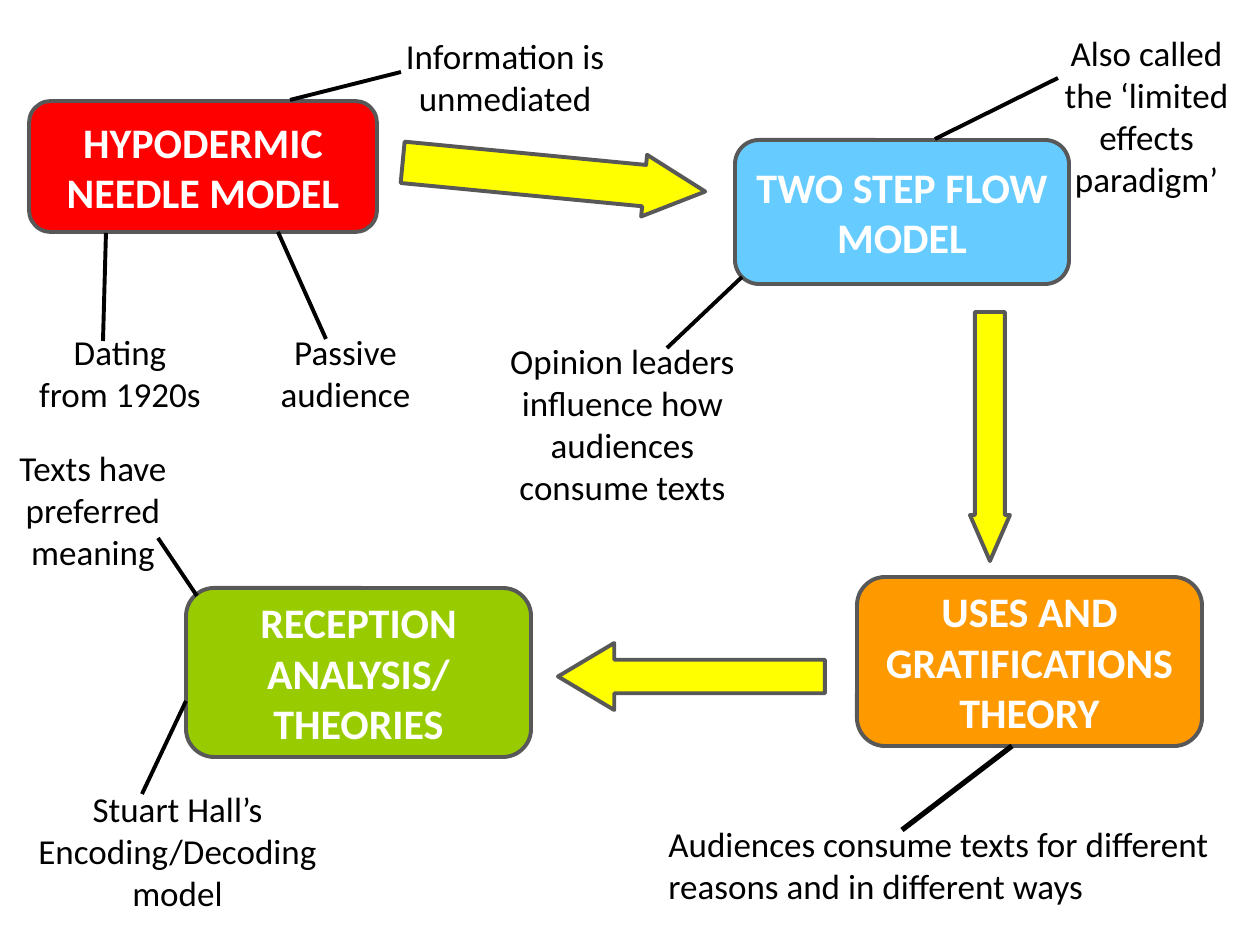
import pptx
import pptx.dml.color
import pptx.enum.shapes
import pptx.enum.text
import pptx.oxml.ns
import pptx.util
from lxml import etree

SHAPES = pptx.enum.shapes.MSO_SHAPE
ALIGN = pptx.enum.text.PP_ALIGN
COLORS = {
    "red": "FF0000",
    "blue": "66CCFF",
    "orange": "FF9900",
    "green": "99CC00",
    "yellow": "FFFF00",
    "outline": "585858",
    "white": "FFFFFF",
    "black": "000000",
}
MODELS = [
    ("HYPODERMIC NEEDLE MODEL", (29, 101, 348, 131), "red"),
    ("TWO STEP FLOW MODEL", (735, 140, 334, 144), "blue"),
    ("USES AND GRATIFICATIONS\vTHEORY", (857, 577, 345, 169), "orange"),
    ("RECEPTION ANALYSIS/ THEORIES", (186, 588, 345, 169), "green"),
]
NOTES = [
    ("Information is unmediated", (382, 28, 246, 97), ALIGN.CENTER),
    ("Passive audience", (263, 324, 165, 97), ALIGN.CENTER),
    ("Dating from 1920s", (24, 324, 192, 97), ALIGN.CENTER),
    ("Also called the ‘limited effects paradigm’", (1050, 25, 193, 180), ALIGN.CENTER),
    ("Opinion leaders influence how audiences consume texts", (496, 333, 253, 180), ALIGN.CENTER),
    ("Audiences consume texts for different reasons and in different ways",
     (656, 816, 586, 97), ALIGN.LEFT),
    ("Stuart Hall’s Encoding/Decoding model", (23, 781, 309, 139), ALIGN.CENTER),
    ("Texts have preferred meaning", (0, 440, 186, 139), ALIGN.CENTER),
]
LEADERS = [
    ((290, 100, 401, 72), 2.25),
    ((106, 233, 103, 341), 2.25),
    ((278, 232, 326, 339), 2.25),
    ((935, 139, 1058, 78), 2.25),
    ((742, 277, 667, 348), 2.25),
    ((1012, 746, 902, 830), 3),
    ((197, 596, 158, 538), 2.25),
    ((186, 701, 142, 794), 2.25),
]
ARROWS = [
    (SHAPES.RIGHT_ARROW, (402, 146, 304, 62), (0.67, 0.99), 5.5),
    (SHAPES.DOWN_ARROW, (970, 312, 40, 249), (0.75, 1.15), 0),
    (SHAPES.LEFT_ARROW, (558, 643, 267, 67), (0.5, 0.84), 0),
]


def px(length):
    """Turn pixels into EMU at 126 pixels to the inch."""
    return pptx.util.Emu(round(length * 914400 / 126))


def color(name):
    """Look up a named colour."""
    return pptx.dml.color.RGBColor.from_string(COLORS[name])


def write(shape, text, size, ink, align, bold=False):
    """Set wrapped, aligned text in one font."""
    frame = shape.text_frame
    frame.word_wrap = True
    frame.text = text
    para = frame.paragraphs[0]
    para.alignment = align
    for span in para.runs:
        span.font.name = "Calibri"
        span.font.size = pptx.util.Pt(size)
        span.font.bold = bold
        span.font.color.rgb = color(ink)


def add_outlined(page, kind, place, fill):
    """Add a filled preset shape with a grey outline."""
    shape = page.shapes.add_shape(kind, *map(px, place))
    shape.shadow.inherit = False
    shape.fill.solid()
    shape.fill.fore_color.rgb = color(fill)
    shape.line.color.rgb = color("outline")
    shape.line.width = pptx.util.Pt(2.25)
    return shape


def add_model(page, text, place, fill):
    """Add a rounded box naming a model."""
    box = add_outlined(page, SHAPES.ROUNDED_RECTANGLE, place, fill)
    box.text_frame.vertical_anchor = pptx.enum.text.MSO_ANCHOR.MIDDLE
    write(box, text, 24, "white", ALIGN.CENTER, bold=True)


def add_note(page, text, place, align):
    """Add a text box with a remark on a model."""
    box = page.shapes.add_textbox(*map(px, place))
    write(box, text, 20, "black", align)
    box.text_frame.auto_size = pptx.enum.text.MSO_AUTO_SIZE.SHAPE_TO_FIT_TEXT


def add_leader(page, ends, width):
    """Add a black line between a model and its note."""
    line = page.shapes.add_connector(
        pptx.enum.shapes.MSO_CONNECTOR.STRAIGHT, *map(px, ends))
    line.line.color.rgb = color("black")
    line.line.width = pptx.util.Pt(width)
    etree.SubElement(line._element.spPr, pptx.oxml.ns.qn("a:effectLst"))


def add_arrow(page, kind, place, adjustments, rotation):
    """Add a yellow block arrow leading to the next model."""
    arrow = add_outlined(page, kind, place, "yellow")
    for index, value in enumerate(adjustments):
        arrow.adjustments[index] = value
    arrow.rotation = rotation


def main():
    """Build the map of audience models."""
    deck = pptx.Presentation()
    deck.slide_width, deck.slide_height = px(1260), px(945)
    page = deck.slides.add_slide(deck.slide_layouts[6])
    for model in MODELS:
        add_model(page, *model)
    for note in NOTES:
        add_note(page, *note)
    for leader in LEADERS:
        add_leader(page, *leader)
    for arrow in ARROWS:
        add_arrow(page, *arrow)
    deck.save("out.pptx")


if __name__ == "__main__":
    main()
